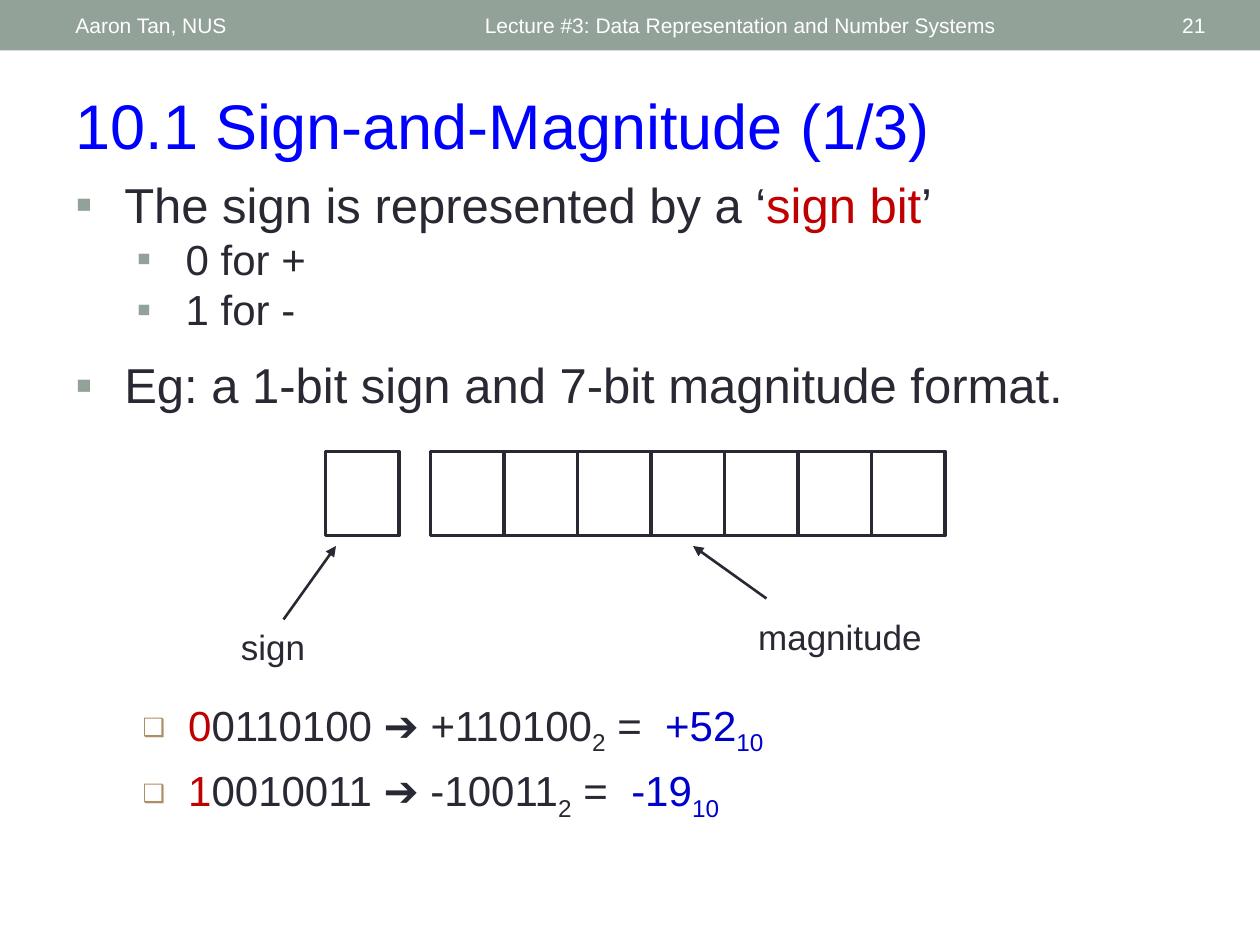
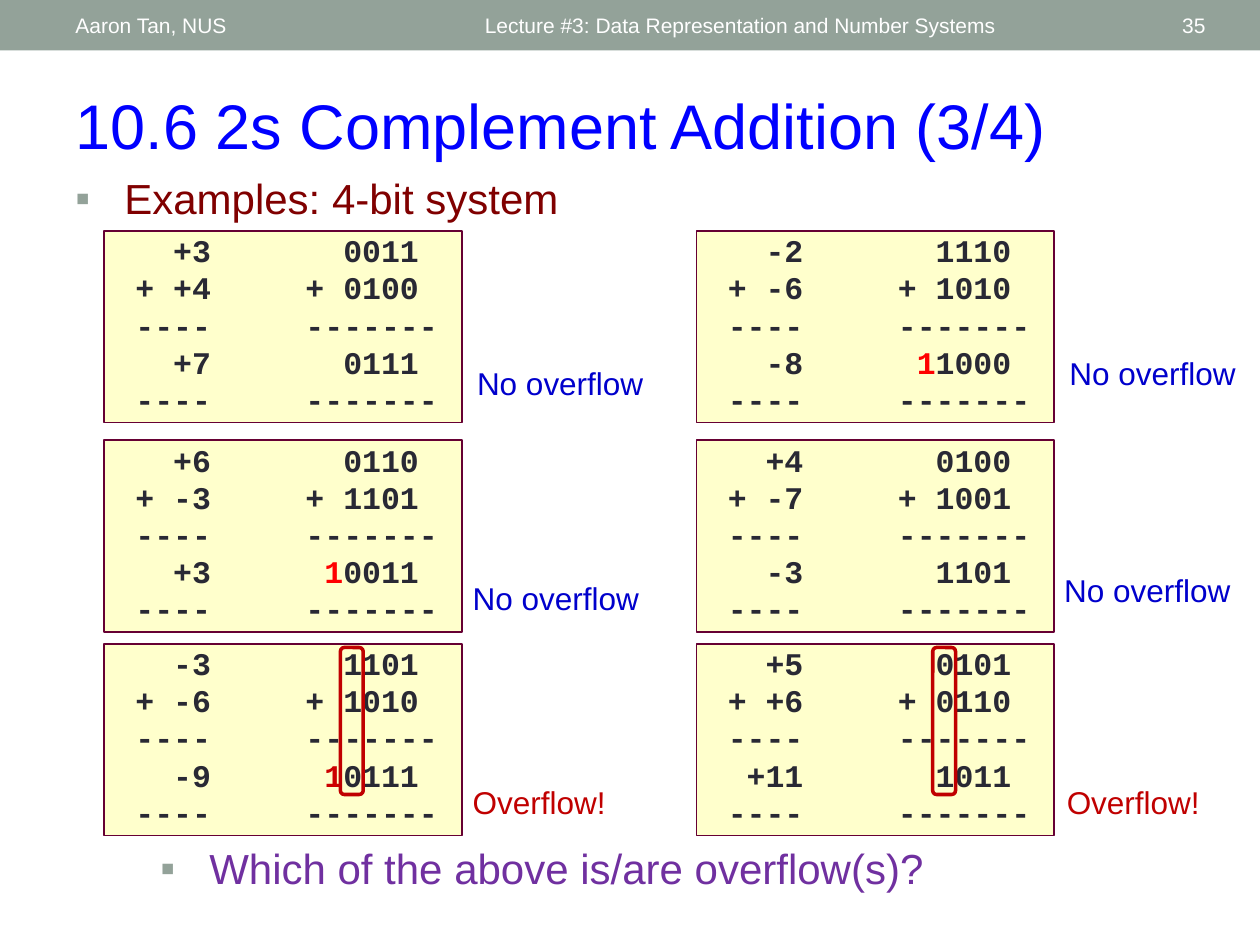
"""Build two lecture slides on sign-and-magnitude and 2s complement addition."""
from dataclasses import dataclass
from lxml import etree
from pptx import Presentation
from pptx import util as u
from pptx.dml.color import RGBColor
from pptx.enum import shapes, text
from pptx.oxml import ns

Pt = u.Pt


@dataclass(frozen=True)
class Theme:
    """Colours, fonts and type sizes shared by the slides."""
    ink: str = "292934"
    band: str = "93A299"
    white: str = "FFFFFF"
    title: str = "0000FF"
    blue: str = "0000CC"
    red: str = "C00000"
    carry: str = "FF0000"
    overflow_carry: str = "CC0000"
    maroon: str = "800000"
    purple: str = "7030A0"
    tan: str = "AD8F67"
    paper: str = "FFFFCC"
    paper_edge: str = "660033"
    sans: str = "Arial"
    mono: str = "Courier New"
    footer_size: int = 12
    title_size: int = 36
    large: int = 28
    medium: int = 24
    label: int = 20
    small: int = 18


THEME = Theme()


@dataclass
class Span:
    """A piece of text with its own colour or subscript."""
    words: str
    color: str = THEME.ink
    subscript: bool = False


@dataclass
class Bullet:
    """A bullet character with its colour and hanging indent in points."""
    char: str = "▪"
    color: str = THEME.band
    margin: float = 28
    hanging: float = 28
    percent: int = 100
    level: int = 0


@dataclass
class Para:
    """A paragraph: its spans and the format they agree on."""
    spans: list
    size: int
    font: str = THEME.sans
    bold: bool = False
    before: float = 0
    line: float = 1
    align: text.PP_ALIGN = text.PP_ALIGN.LEFT
    bullet: Bullet = None
    tabs: tuple = ()


@dataclass
class Sum:
    """A decimal and binary addition with its verdict and the verdict's place."""
    decimals: tuple
    binaries: tuple
    verdict_at: tuple
    carry: str = ""
    overflow: bool = False


def child(parent, tag, **attributes):
    """Append a DrawingML element."""
    return etree.SubElement(parent, ns.qn(f"a:{tag}"), attributes)


def add_bullet(properties, bullet):
    """Give paragraph properties a bullet and a hanging indent."""
    properties.set("marL", str(int(Pt(bullet.margin))))
    properties.set("indent", str(-int(Pt(bullet.hanging))))
    child(child(properties, "buClr"), "srgbClr", val=bullet.color)
    child(properties, "buSzPct", val=str(bullet.percent * 1000))
    child(properties, "buFont", typeface=THEME.sans)
    child(properties, "buChar", char=bullet.char)


def write(box, paras, anchor=text.MSO_ANCHOR.TOP):
    """Fill a shape's text frame with paragraphs."""
    frame = box.text_frame
    frame.word_wrap = True
    frame.auto_size = text.MSO_AUTO_SIZE.NONE
    frame.vertical_anchor = anchor
    for index, para in enumerate(paras):
        target = frame.add_paragraph() if index else frame.paragraphs[0]
        properties = target._p.get_or_add_pPr()
        if para.bullet:
            add_bullet(properties, para.bullet)
            target.level = para.bullet.level
        if para.tabs:
            stops = child(properties, "tabLst")
            for stop in para.tabs:
                child(stops, "tab", pos=str(int(Pt(stop))), algn="r")
        target.alignment = para.align
        target.space_before = Pt(para.before)
        target.line_spacing = para.line
        target.font.name = para.font
        target.font.size = Pt(para.size)
        target.font.bold = para.bold
        for span in para.spans:
            run = target.add_run()
            run.text = span.words
            run.font.color.rgb = RGBColor.from_string(span.color)
            if span.subscript:
                run._r.get_or_add_rPr().set("baseline", "-25000")


def add_text(page, left, top, width, height, paras, anchor=text.MSO_ANCHOR.TOP):
    """Add a text box."""
    box = page.shapes.add_textbox(Pt(left), Pt(top), Pt(width), Pt(height))
    write(box, paras, anchor)


def add_box(page, left, top, width, height, fill=None, edge=None, weight=1,
            kind=shapes.MSO_SHAPE.RECTANGLE):
    """Add a flat shape with an optional fill and outline."""
    box = page.shapes.add_shape(kind, Pt(left), Pt(top), Pt(width), Pt(height))
    box.shadow.inherit = False
    if fill:
        box.fill.solid()
        box.fill.fore_color.rgb = RGBColor.from_string(fill)
    else:
        box.fill.background()
    if edge:
        box.line.color.rgb = RGBColor.from_string(edge)
        box.line.width = Pt(weight)
    else:
        box.line.fill.background()
    return box


def add_arrow(page, start, end):
    """Add a straight arrow pointing at its end."""
    arrow = page.shapes.add_connector(
        shapes.MSO_CONNECTOR.STRAIGHT, *(Pt(value) for value in start + end))
    arrow.line.color.rgb = RGBColor.from_string(THEME.ink)
    arrow.line.width = Pt(1.5)
    child(arrow.line._get_or_add_ln(), "tailEnd", type="triangle")
    child(arrow._element.spPr, "effectLst")


def add_page(deck, title, number):
    """Add a title-only slide with the top band and its three texts."""
    page = deck.slides.add_slide(deck.slide_layouts[5])
    add_box(page, 0, 0, 720, 28.8, fill=THEME.band)
    for left, width, words, align in (
            (36, 228, "Aaron Tan, NUS", text.PP_ALIGN.LEFT),
            (270, 324, "Lecture #3: Data Representation and Number Systems",
             text.PP_ALIGN.LEFT),
            (628, 68, number, text.PP_ALIGN.RIGHT)):
        para = Para([Span(words, THEME.white)], THEME.footer_size, align=align)
        add_text(page, left, 1.5, width, 26, [para], text.MSO_ANCHOR.MIDDLE)
    heading = page.shapes.title
    heading.left, heading.top = Pt(36), Pt(46)
    heading.width, heading.height = Pt(648), Pt(51)
    write(heading, [Para([Span(title, THEME.title)], THEME.title_size)])
    return page


def add_bit_format(page):
    """Draw the sign cell, the seven magnitude cells and their labels."""
    cell_width, first_magnitude = 42, 246
    lefts = [186] + [first_magnitude + cell_width * bit for bit in range(7)]
    for left in lefts:
        add_box(page, left, 258, cell_width, 48, edge=THEME.ink, weight=2)
    add_arrow(page, (162, 354), (192, 312))
    add_arrow(page, (438, 342), (396, 312))
    for left, top, width, words in ((120, 354, 72, "sign"),
                                    (426, 348, 108, "magnitude")):
        para = Para([Span(words)], THEME.label, before=2,
                    align=text.PP_ALIGN.CENTER)
        add_text(page, left, top, width, 31, [para])


def conversion(sign, magnitude, binary, decimal):
    """Return the bulleted line that reads a signed bit pattern."""
    spans = [Span(sign, THEME.red), Span(f"{magnitude} ➔ {binary}"),
             Span("2", subscript=True), Span(" =  "),
             Span(decimal, THEME.blue), Span("10", THEME.blue, True)]
    return Para(spans, THEME.medium, before=4.8,
                bullet=Bullet("❑", THEME.tan, 52.5, 26, 60, 1))


def add_sum(page, left, top, example):
    """Draw one worked addition, its verdict and any overflow mark."""
    (first, second, total), (upper, lower, result) = example.decimals, example.binaries
    rule = ("----", "-------", "")
    rows = ((first, upper, ""), (f"+ {second}", f"+ {lower}", ""), rule,
            (total, result, example.carry), rule)
    char_width = THEME.small * 0.6
    carry_color = THEME.overflow_carry if example.overflow else THEME.carry
    paras = []
    for row in rows:
        decimal, binary, carry = row
        last_column = 17 if row is rule else 16
        spans = [Span(f"\t{decimal}\t")]
        if carry:
            spans.append(Span(carry, carry_color))
        spans.append(Span(binary))
        paras.append(Para(spans, THEME.small, THEME.mono, True, 2.8, 0.85,
                          tabs=(5 * char_width, last_column * char_width)))
    box = add_box(page, left, top, 204.5, 109.5, THEME.paper, THEME.paper_edge)
    write(box, paras)
    words, color = (("Overflow!", THEME.red) if example.overflow
                    else ("No overflow", THEME.blue))
    add_text(page, *example.verdict_at, 115, 29,
             [Para([Span(words, color)], THEME.small)])
    if example.overflow:
        add_box(page, left + 135, top + 2, 13, 84, edge=THEME.red, weight=2,
                kind=shapes.MSO_SHAPE.ROUNDED_RECTANGLE)


def build_sign_magnitude(deck):
    """Build the sign-and-magnitude slide."""
    page = add_page(deck, "10.1 Sign-and-Magnitude (1/3)", "21")
    inner = Bullet(margin=63, level=1)
    add_text(page, 36, 96, 648, 386, [
        Para([Span("The sign is represented by a ‘"), Span("sign bit", THEME.red),
              Span("’")], THEME.large, before=6, bullet=Bullet()),
        Para([Span("0 for +")], THEME.medium, bullet=inner),
        Para([Span("1 for -")], THEME.medium, bullet=inner),
        Para([Span("Eg: a 1-bit sign and 7-bit magnitude format.")],
             THEME.large, before=12, bullet=Bullet()),
    ])
    add_bit_format(page)
    add_text(page, 48, 396, 648, 72, [
        conversion("0", "0110100", "+110100", "+52"),
        conversion("1", "0010011", "-10011", "-19"),
    ])


def build_addition(deck):
    """Build the 2s complement addition slide."""
    page = add_page(deck, "10.6 2s Complement Addition (3/4)", "35")
    add_text(page, 36, 95, 648, 42, [
        Para([Span("Examples: 4-bit system", THEME.maroon)], THEME.medium,
             before=3, bullet=Bullet())])
    add_text(page, 78, 478, 516, 37, [
        Para([Span("Which of the above is/are overflow(s)?", THEME.purple)],
             THEME.medium, before=3, bullet=Bullet(margin=34.5))])
    examples = (
        (Sum(("+3", "+4", "+7"), ("0011", "0100", "0111"), (265.5, 204.5)),
         Sum(("-2", "-6", "-8"), ("1110", "1010", "1000"), (604, 199), "1")),
        (Sum(("+6", "-3", "+3"), ("0110", "1101", "0011"), (263, 327.5), "1"),
         Sum(("+4", "-7", "-3"), ("0100", "1001", "1101"), (601, 322.5))),
        (Sum(("-3", "-6", "-9"), ("1101", "1010", "0111"), (263, 444), "1", True),
         Sum(("+5", "+6", "+11"), ("0101", "0110", "1011"), (602.5, 444),
             overflow=True)),
    )
    for top, pair in zip((132, 251.5, 368), examples):
        for left, example in zip((59.5, 398), pair):
            add_sum(page, left, top, example)


def main():
    """Build and save the deck."""
    deck = Presentation()
    deck.slide_width, deck.slide_height = Pt(720), Pt(540)
    build_sign_magnitude(deck)
    build_addition(deck)
    deck.save("out.pptx")


if __name__ == "__main__":
    main()
